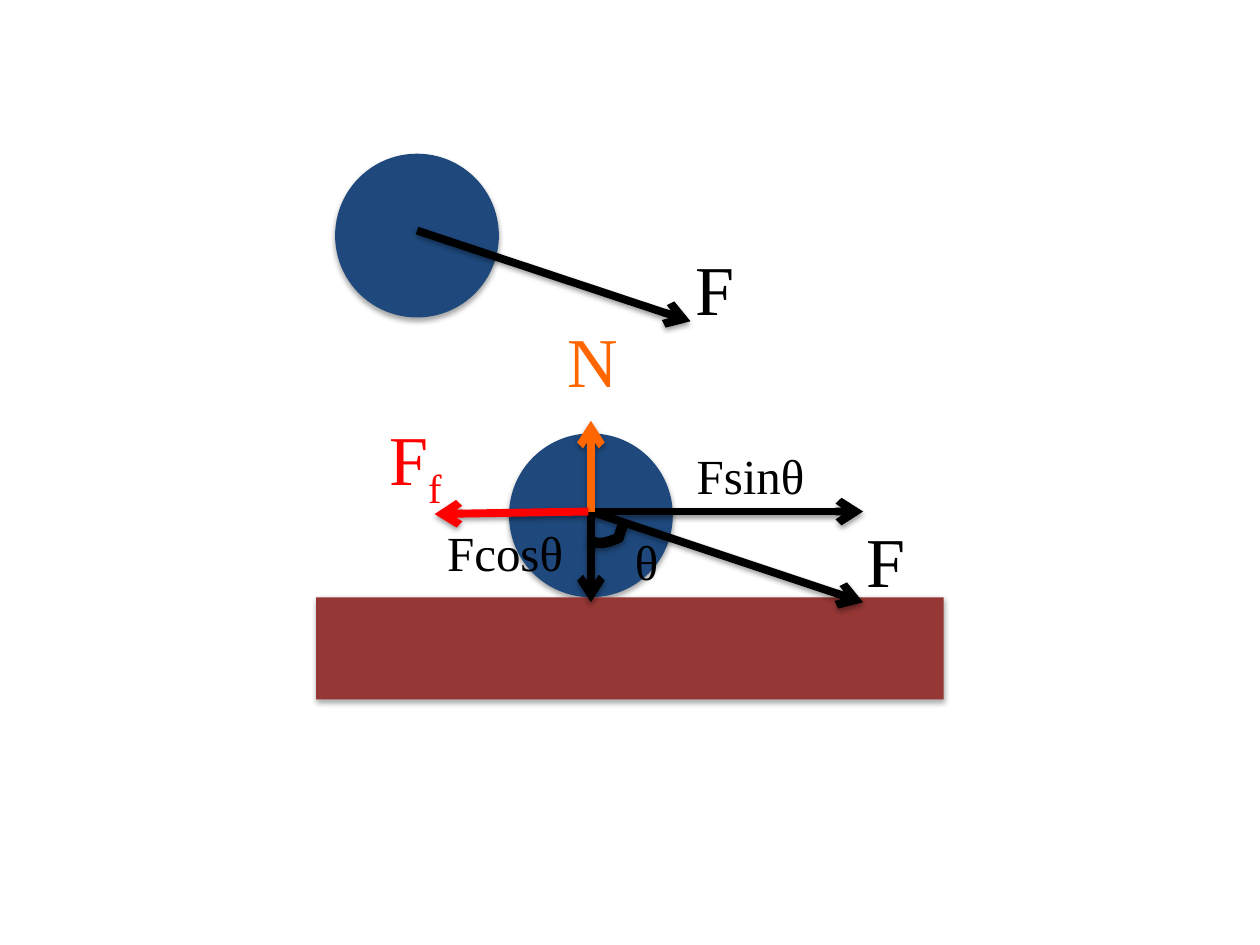
from lxml.etree import SubElement
from pptx import Presentation
from pptx.dml.color import RGBColor
from pptx.enum.shapes import MSO_CONNECTOR as Connector, MSO_SHAPE as Shape
from pptx.enum.text import MSO_AUTO_SIZE as AutoSize
from pptx.oxml.ns import qn
from pptx.util import Inches, Pt

BLUE = RGBColor(0x1F, 0x49, 0x7D)
BROWN = RGBColor(0x95, 0x37, 0x35)
BLACK = RGBColor(0x00, 0x00, 0x00)
ORANGE = RGBColor(0xFF, 0x66, 0x00)
RED = RGBColor(0xFF, 0x00, 0x00)
FONT = "Times New Roman"
BALL_SIZE = 1.3
CENTRE = (4.69, 4.06)


def add_shadow(properties, distance, opacity):
    """Put a soft black shadow straight below; distance in points, opacity in percent."""
    effects = properties.find(qn("a:effectLst"))
    if effects is None:
        effects = SubElement(properties, qn("a:effectLst"))
    shadow = SubElement(effects, qn("a:outerShdw"), blurRad=str(Pt(3.1)),
                        dist=str(Pt(distance)), dir="5400000", rotWithShape="0")
    colour = SubElement(shadow, qn("a:srgbClr"), val="000000")
    SubElement(colour, qn("a:alpha"), val=str(opacity * 1000))


def add_solid(shapes, kind, left, top, width, height, colour):
    solid = shapes.add_shape(kind, Inches(left), Inches(top), Inches(width), Inches(height))
    solid.fill.solid()
    solid.fill.fore_color.rgb = colour
    solid.line.fill.background()
    solid.shadow.inherit = False
    add_shadow(solid._element.spPr, 1.8, 35)


def add_ball(shapes, left, top):
    add_solid(shapes, Shape.OVAL, left, top, BALL_SIZE, BALL_SIZE, BLUE)


def add_force(shapes, start, end, colour=BLACK):
    force = shapes.add_connector(Connector.STRAIGHT, *map(Inches, start + end))
    force.line.color.rgb = colour
    force.line.width = Pt(4.5)
    SubElement(force.line._get_or_add_ln(), qn("a:tailEnd"), type="arrow")
    add_shadow(force._element.spPr, 1.6, 38)


def add_label(shapes, text, left, top, width, size=40, colour=BLACK, subscript=""):
    height = 0.77 if size == 40 else 0.57
    box = shapes.add_textbox(Inches(left), Inches(top), Inches(width), Inches(height))
    frame = box.text_frame
    frame.word_wrap = True
    frame.auto_size = AutoSize.SHAPE_TO_FIT_TEXT
    para = frame.paragraphs[0]
    para.text = text
    if subscript:
        span = para.add_run()
        span.text = subscript
        span.font._element.set("baseline", "-25000")
    for span in para.runs:
        span.font.name = FONT
        span.font.size = Pt(size)
        span.font.color.rgb = colour


def curve_points(start, controls, steps=10):
    """Points along a cubic Bezier curve, without its start."""
    corners = (start, *controls)
    points = []
    for step in range(1, steps + 1):
        t = step / steps
        weights = ((1 - t) ** 3, 3 * t * (1 - t) ** 2, 3 * t * t * (1 - t), t ** 3)
        points.append(tuple(Inches(sum(w * corner[axis] for w, corner in zip(weights, corners)))
                            for axis in (0, 1)))
    return points


def add_angle_mark(shapes):
    start = (4.67, 4.29)
    curves = [
        [(4.7, 4.3), (4.73, 4.31), (4.76, 4.31)],
        [(4.81, 4.31), (4.86, 4.29), (4.91, 4.27)],
        [(4.94, 4.16), (4.94, 4.2), (4.94, 4.15)],
    ]
    builder = shapes.build_freeform(*map(Inches, start))
    for controls in curves:
        builder.add_line_segments(curve_points(start, controls), close=False)
        start = controls[-1]
    mark = builder.convert_to_shape()
    mark.fill.background()
    mark.line.color.rgb = BLACK
    mark.line.width = Pt(6)
    mark.shadow.inherit = False
    add_shadow(mark._element.spPr, 1.6, 38)


def add_ground_diagram(shapes):
    add_ball(shapes, 4.04, 3.44)
    add_solid(shapes, Shape.RECTANGLE, 2.51, 4.74, 4.98, 0.81, BROWN)
    for end in [(6.85, 4.78), (6.85, 4.06), (4.69, 4.78)]:
        add_force(shapes, CENTRE, end)
    add_force(shapes, CENTRE, (4.69, 3.34), ORANGE)
    add_force(shapes, (4.67, 4.06), (3.45, 4.08), RED)
    add_label(shapes, "N", 4.41, 2.47, 0.57, colour=ORANGE)
    add_label(shapes, "F", 2.99, 3.25, 1.42, colour=RED, subscript="f")
    add_label(shapes, "Fsinθ", 5.43, 3.49, 1.42, size=28)
    add_label(shapes, "Fcosθ", 3.45, 4.1, 1.19, size=28)
    add_angle_mark(shapes)
    add_label(shapes, "θ", 4.94, 4.17, 0.71, size=28)
    add_label(shapes, "F", 6.78, 4.06, 0.51)


def add_free_ball(shapes):
    add_ball(shapes, 2.66, 1.22)
    add_force(shapes, (3.31, 1.83), (5.48, 2.55))
    add_label(shapes, "F", 5.42, 1.9, 0.51)


def main():
    deck = Presentation()
    deck.slide_width, deck.slide_height = Inches(10), Inches(7.5)
    slide = deck.slides.add_slide(deck.slide_layouts[6])
    diagram = slide.shapes.add_group_shape().shapes
    add_ground_diagram(diagram)
    add_free_ball(diagram)
    deck.save("out.pptx")


if __name__ == "__main__":
    main()
